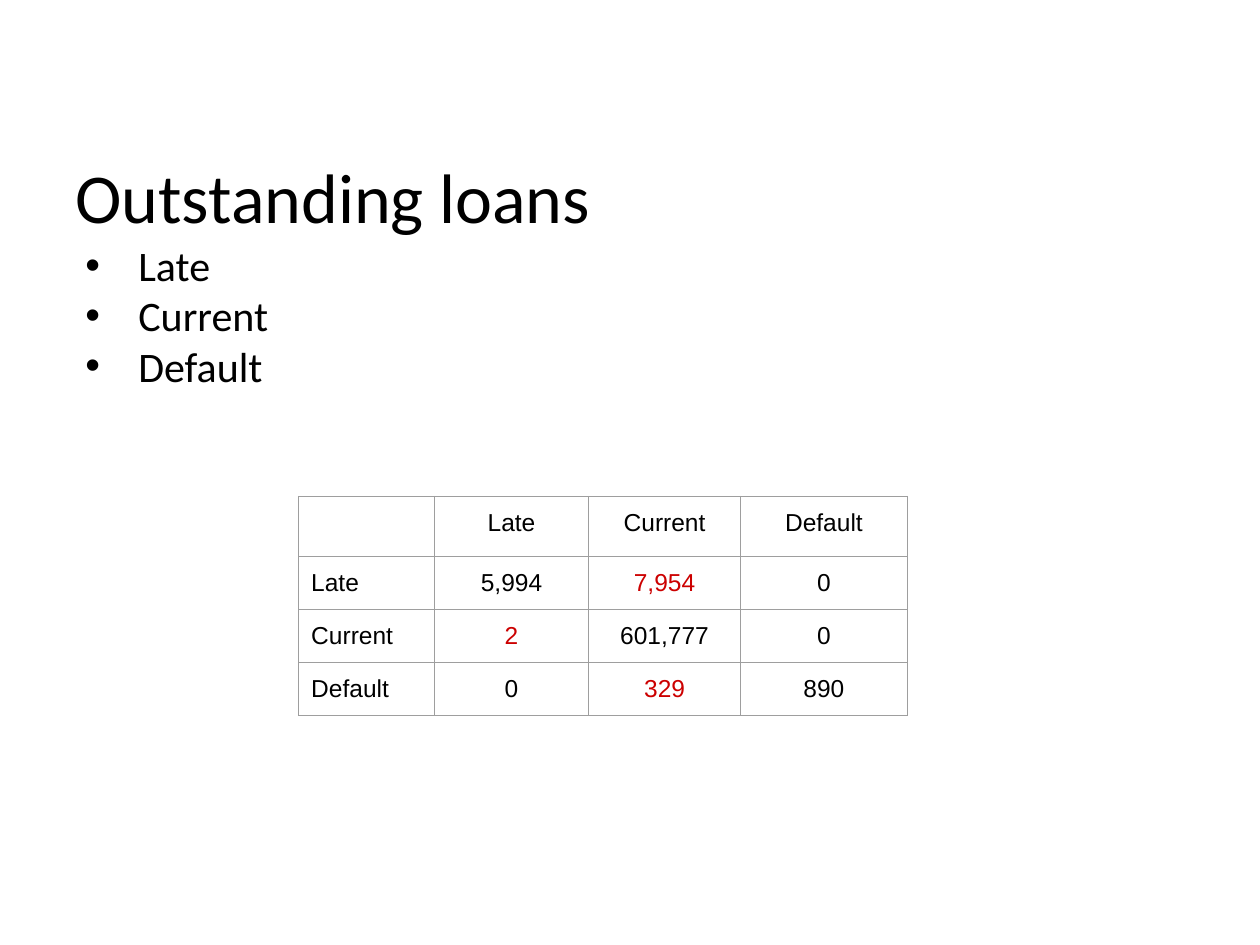
from lxml import etree
from pptx import Presentation
from pptx.dml.color import RGBColor
from pptx.enum.text import MSO_ANCHOR as Anchor, MSO_AUTO_SIZE as AutoSize, PP_ALIGN as Align
from pptx.oxml import parse_xml
from pptx.oxml.ns import nsdecls, qn
from pptx.util import Inches, Pt

BLACK = RGBColor(0x00, 0x00, 0x00)
RED = RGBColor(0xCC, 0x00, 0x00)
BORDER = RGBColor(0x9E, 0x9E, 0x9E)
STATUSES = ["Late", "Current", "Default"]


def format_font(font, name, size, color=BLACK):
    for key, value in {"name": name, "size": Pt(size), "bold": False}.items():
        setattr(font, key, value)
    font.color.rgb = color


def format_frame(frame, **margins):
    settings = {"word_wrap": True, "auto_size": AutoSize.NONE, "vertical_anchor": Anchor.TOP}
    for key, value in (settings | margins).items():
        setattr(frame, key, value)


presentation = Presentation()
presentation.slide_width = Inches(10)
presentation.slide_height = Inches(7.5)
slide = presentation.slides.add_slide(presentation.slide_layouts[5])

# Title
title = slide.shapes.title
title.left, title.top, title.width, title.height = map(Inches, (0.5, 1.17, 9, 0.73))
format_frame(title.text_frame, margin_bottom=0)
title.text_frame.text = "Outstanding loans"
paragraph = title.text_frame.paragraphs[0]
paragraph.alignment = Align.LEFT
format_font(paragraph.runs[0].font, "Calibri", 40)

# Bulleted loan statuses, directly below the title
bullets = slide.shapes.add_textbox(*map(Inches, (0.5, 1.9, 9, 4.22)))
format_frame(bullets.text_frame, margin_top=0)
bullets.text_frame.text = "\n".join(STATUSES)
for paragraph in bullets.text_frame.paragraphs:
    format_font(paragraph.runs[0].font, "Calibri", 24)
    properties = paragraph._p.get_or_add_pPr()
    properties.set("marL", str(Inches(0.5)))
    properties.set("indent", str(Inches(-0.42)))
    etree.SubElement(properties, qn("a:buFont"), typeface="Arial")
    etree.SubElement(properties, qn("a:buChar"), char="•")

# Status transition table
rows = [
    ["", *STATUSES],
    ["Late", "5,994", "7,954", "0"],
    ["Current", "2", "601,777", "0"],
    ["Default", "0", "329", "890"],
]
column_widths = [1.08, 1.22, 1.21, 1.32]
row_heights = [0.48, 0.42, 0.42, 0.42]
table = slide.shapes.add_table(
    len(rows), len(column_widths), Inches(2.37), Inches(3.94),
    Inches(sum(column_widths)), Inches(sum(row_heights))).table
table.first_row = table.horz_banding = False
for column, width in zip(table.columns, column_widths):
    column.width = Inches(width)
for row, height in zip(table.rows, row_heights):
    row.height = Inches(height)

for row_index, values in enumerate(rows):
    for column_index, text in enumerate(values):
        cell = table.cell(row_index, column_index)
        cell.fill.background()
        for position, side in enumerate(("lnL", "lnR", "lnT", "lnB")):
            cell._tc.get_or_add_tcPr().insert(position, parse_xml(
                f'<a:{side} {nsdecls("a")} w="{Pt(0.75)}"><a:solidFill>'
                f'<a:srgbClr val="{BORDER}"/></a:solidFill></a:{side}>'))
        if not text:
            continue
        for side in ("left", "top", "right", "bottom"):
            setattr(cell, f"margin_{side}", Inches(0.1))
        cell.text = text
        paragraph = cell.text_frame.paragraphs[0]
        paragraph.alignment = Align.CENTER if column_index else Align.LEFT
        # Loans that changed status stand out in red
        changed = row_index and column_index and row_index != column_index and text != "0"
        format_font(paragraph.runs[0].font, "Arial", 14, RED if changed else BLACK)

presentation.save("out.pptx")
